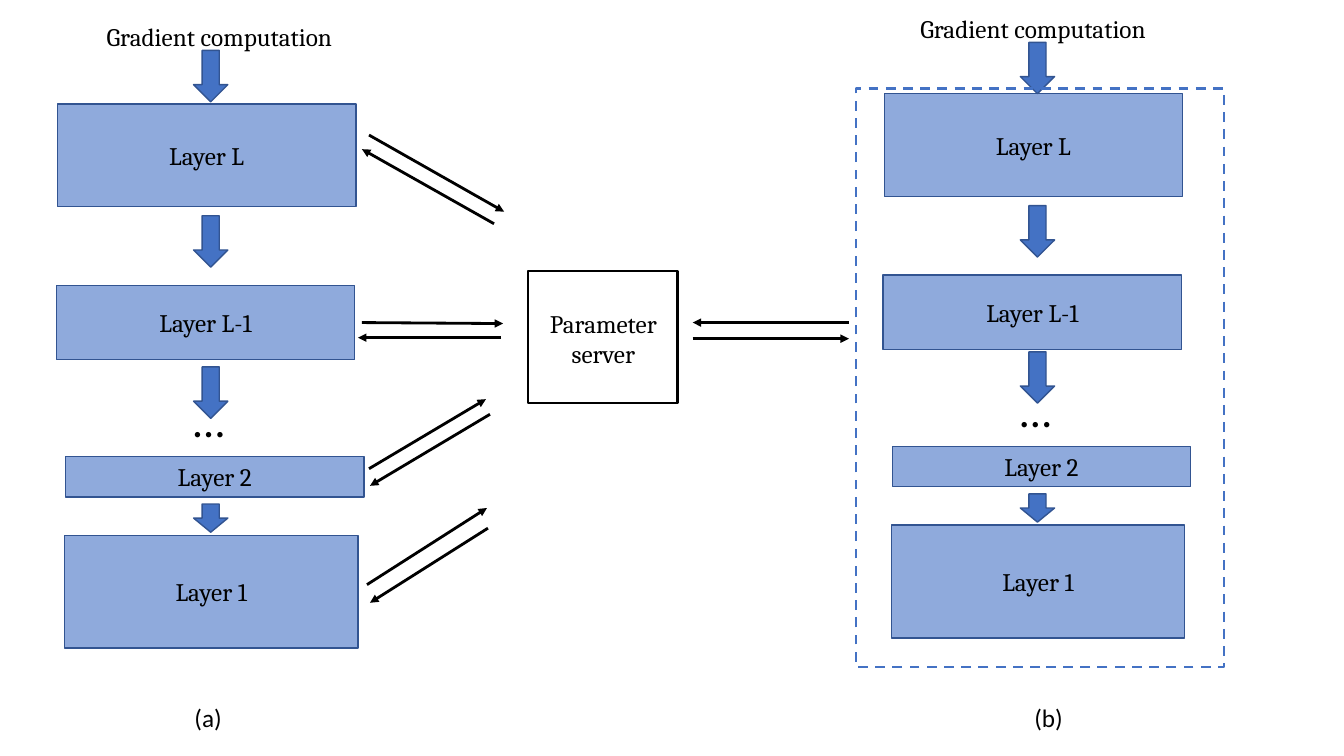
import pptx
import pptx.util
import pptx.dml.color
import pptx.enum.dml
import pptx.enum.shapes
import pptx.enum.text
import pptx.oxml.ns
from lxml import etree

PX = 9144  # EMU per px, 100 px to the inch
SHAPE = pptx.enum.shapes.MSO_SHAPE
ALIGN = pptx.enum.text.PP_ALIGN
ANCHOR = pptx.enum.text.MSO_ANCHOR
BLACK, BLUE, PALE, EDGE = "000000", "4472C4", "8FAADC", "325491"
SERIF = {"name": "Cambria", "size": pptx.util.Pt(18)}
SANS = {"name": "Calibri", "size": pptx.util.Pt(18)}
DOTS = {"name": "Calibri", "size": pptx.util.Pt(32)}


def color(code):
    return pptx.dml.color.RGBColor.from_string(code)


def emu(*sizes):
    return [size * PX for size in sizes]


def write(frame, text, font, align):
    for num, line in enumerate(text.split("\n")):
        para = frame.paragraphs[0] if num == 0 else frame.add_paragraph()
        para.alignment = align
        run = para.add_run()
        run.text = line
        for key, value in font.items():
            setattr(run.font, key, value)
        run.font.color.rgb = color(BLACK)


def label(slide, box, text, font, align=ALIGN.LEFT):
    frame = slide.shapes.add_textbox(*emu(*box)).text_frame
    frame.word_wrap = False
    frame.auto_size = pptx.enum.text.MSO_AUTO_SIZE.SHAPE_TO_FIT_TEXT
    write(frame, text, font, align)


def block(slide, kind, box, fill, edge, width, text=None):
    shape = slide.shapes.add_shape(kind, *emu(*box))
    shape.shadow.inherit = False
    if fill:
        shape.fill.solid()
        shape.fill.fore_color.rgb = color(fill)
    else:
        shape.fill.background()
    shape.line.color.rgb = color(edge)
    shape.line.width = pptx.util.Pt(width)
    if text:
        shape.text_frame.vertical_anchor = ANCHOR.MIDDLE
        write(shape.text_frame, text, SERIF, ALIGN.CENTER)
    return shape


def arrow(slide, ends):
    line = slide.shapes.add_connector(
        pptx.enum.shapes.MSO_CONNECTOR.STRAIGHT, *emu(*ends))
    line.line.color.rgb = color(BLACK)
    line.line.width = pptx.util.Pt(2)
    qn = pptx.oxml.ns.qn
    etree.SubElement(line.line._get_or_add_ln(), qn("a:tailEnd"), type="triangle")
    etree.SubElement(line._element.spPr, qn("a:effectLst"))


# Column of layers; left and top are the corner of Layer L
def stack(slide, left, top, title, first, third):
    label(slide, (*title, 253, 40), "Gradient computation", SERIF)
    layers = [(0, 0, 296, 102, "Layer L"), (-1, 180, 296, 74, "Layer L-1"),
              (8, 350, 296, 40, "Layer 2"), (7, 428, 291, 112, "Layer 1")]
    for dx, dy, wide, high, name in layers:
        block(slide, SHAPE.RECTANGLE, (left + dx, top + dy, wide, high),
              PALE, EDGE, 1, name)
    for dy, high in [(first, 51), (111, 51), (third, 51), (397, 28)]:
        block(slide, SHAPE.DOWN_ARROW, (left + 135, top + dy, 34, high),
              BLUE, EDGE, 1)
    label(slide, (left + 125, top + 282, 51, 64), "…", DOTS)


# Server box with its name
def server(slide, left, top):
    block(slide, SHAPE.RECTANGLE, (left, top, 148, 131), None, BLACK, 1.5)
    label(slide, (left + 8, top + 32, 133, 71), "Parameter\nserver",
          SERIF, ALIGN.CENTER)


# Dashed frame around the second column
def border(slide, box):
    frame = block(slide, SHAPE.RECTANGLE, box, None, BLUE, 1.75)
    frame.line.dash_style = pptx.enum.dml.MSO_LINE.DASH


# Send and return arrows between layers and server
def links(slide):
    for ends in [(366, 134, 500, 210), (490, 222, 359, 148),
                 (359, 320, 499, 321), (497, 335, 355, 335),
                 (366, 465, 482, 396), (486, 411, 367, 482),
                 (364, 580, 483, 504), (484, 524, 367, 598),
                 (842, 320, 687, 320), (687, 336, 842, 336)]:
        arrow(slide, ends)


def main():
    deck = pptx.Presentation()
    deck.slide_width, deck.slide_height = emu(1333, 750)
    slide = deck.slides.add_slide(deck.slide_layouts[6])
    links(slide)
    stack(slide, 57, 103, (96, 16), -53, 261)
    stack(slide, 877, 93, (903, 8), -51, 256)
    border(slide, (849, 88, 365, 574))
    server(slide, 524, 269)
    for left, name in [(183, "(a)"), (1016, "(b)")]:
        label(slide, (left, 692, 48, 40), name, SANS)
    deck.save("out.pptx")


if __name__ == "__main__":
    main()
